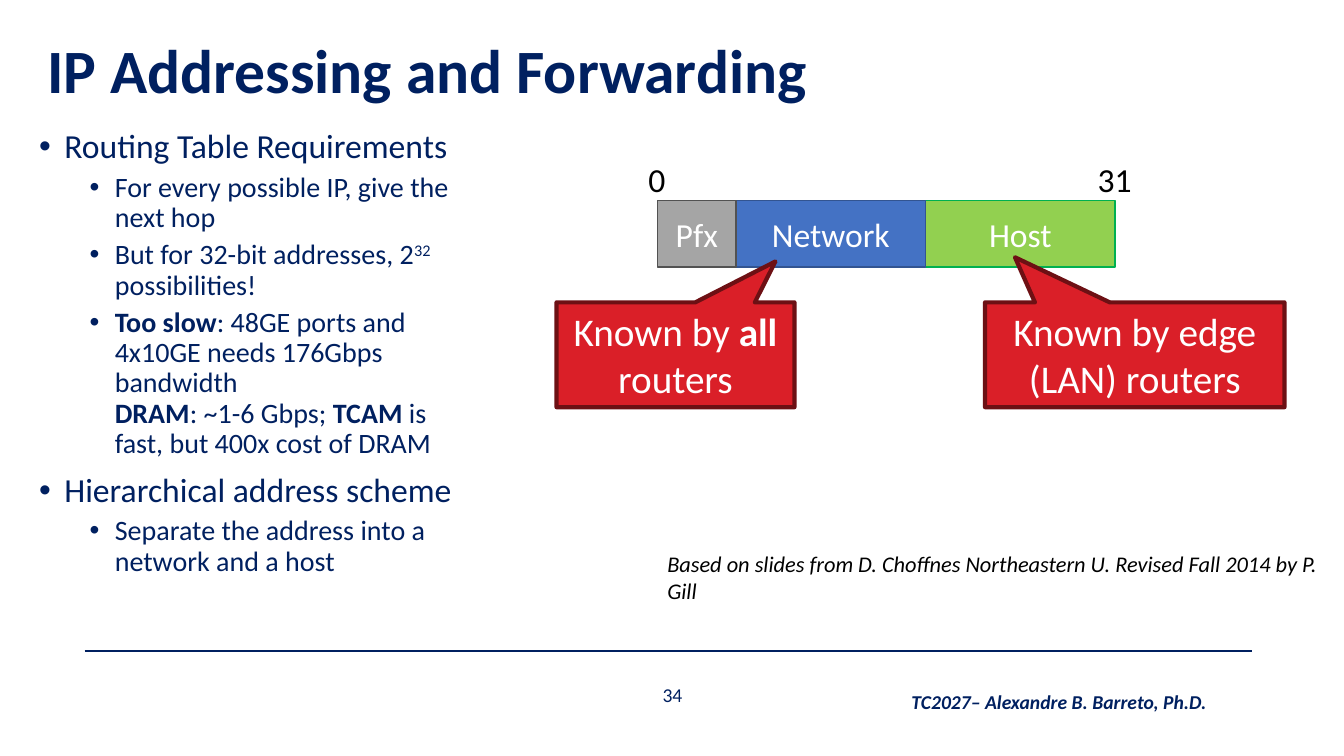
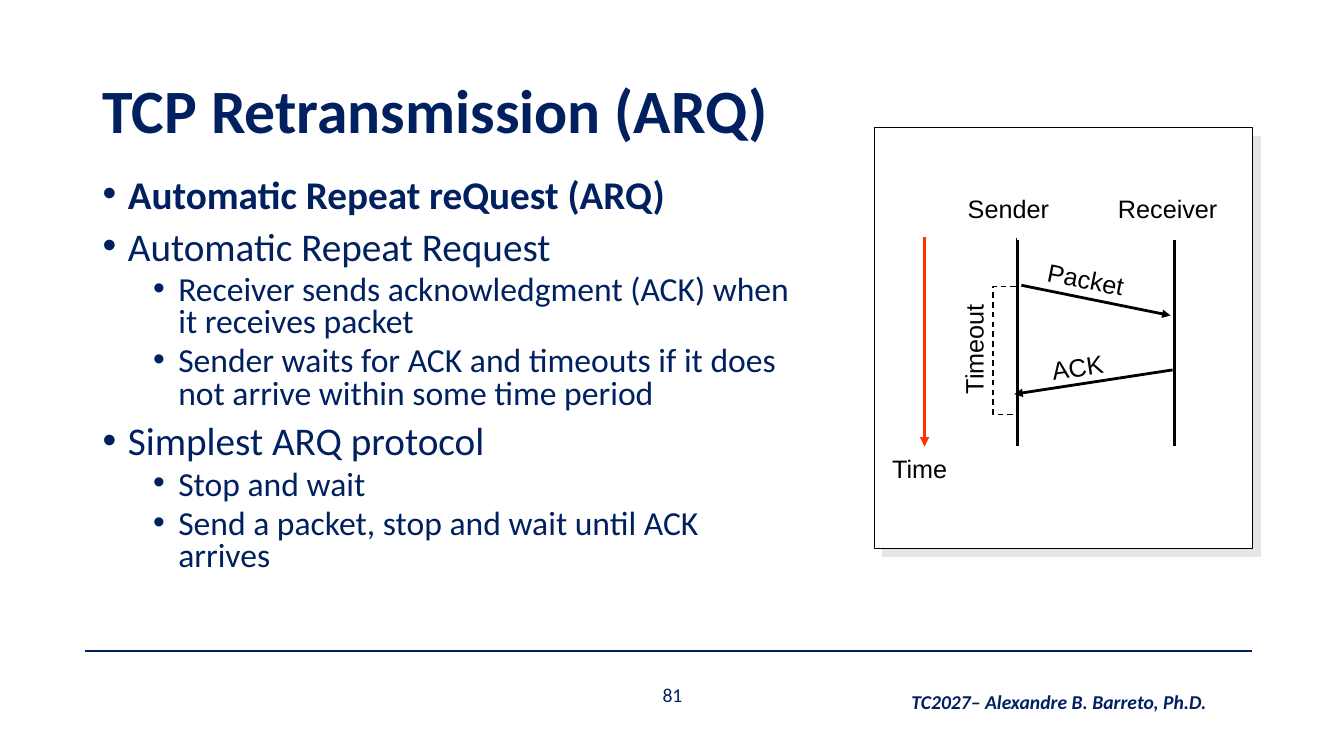
from dataclasses import dataclass

from lxml.etree import SubElement as Sub
from pptx import Presentation
from pptx.dml.color import RGBColor as RGB
from pptx.enum.dml import MSO_LINE as Dash
from pptx.enum.shapes import MSO_CONNECTOR as Conn, MSO_SHAPE as Kind
from pptx.enum.text import MSO_ANCHOR as Anchor, PP_ALIGN as Align
from pptx.oxml.ns import qn
from pptx.util import Pt


@dataclass(frozen=True)
class Theme:
    navy: str = "002060"
    black: str = "000000"
    white: str = "FFFFFF"
    red: str = "DA1F28"
    maroon: str = "6D1014"
    flame: str = "FF3300"
    shade: str = "E7E6E6"
    host: tuple = ("92D050", "00B050")
    net: tuple = ("4472C4", "325491")
    pfx: tuple = ("A5A5A5", "525252")
    sans: str = "Calibri"
    plain: str = "Arial"
    title: int = 44
    large: int = 28
    mid: int = 24
    small: int = 20
    label: int = 18
    note: int = 16
    foot: int = 14


PX = 9144
T = Theme()


def write(shape, text, size=T.mid, color=T.navy, font=T.sans, bold=False,
          italic=False, align=Align.LEFT, anchor=Anchor.TOP, space=1.0, sub=None):
    frame = shape.text_frame
    frame.word_wrap = True
    frame.vertical_anchor = anchor
    items = [(0, text)] if isinstance(text, str) else text
    for n, (level, words) in enumerate(items):
        para = frame.paragraphs[0] if n == 0 else frame.add_paragraph()
        para.alignment = align
        para.line_spacing = space
        if sub:
            para.level = level
            para.space_before = Pt((10, 5)[level] if n else 0)
            props = para._p.get_or_add_pPr()
            props.set("marL", str((25 + 50 * level) * PX))
            props.set("indent", str(-25 * PX))
            Sub(props, qn("a:buFont")).set("typeface", T.plain)
            Sub(props, qn("a:buChar")).set("char", "•")
        for i, part in enumerate(words.split("*")):
            for j, bit in enumerate(part.split("^")):
                for k, piece in enumerate(bit.split("\n")):
                    if k:
                        para.add_line_break()
                    if not piece:
                        continue
                    run = para.add_run()
                    run.text = piece
                    face = run.font
                    face.name = font
                    face.size = Pt(sub if level else size)
                    face.bold = bold or i % 2 == 1
                    face.italic = italic
                    face.color.rgb = RGB.from_string(color)
                    if j % 2:
                        run._r.get_or_add_rPr().set("baseline", "30000")


def rule(slide, ends, color=T.black, width=2, arrow=False):
    line = slide.shapes.add_connector(Conn.STRAIGHT, *(v * PX for v in ends))
    line.line.color.rgb = RGB.from_string(color)
    line.line.width = Pt(width)
    if arrow:
        Sub(line.line._get_or_add_ln(), qn("a:tailEnd")).set("type", "triangle")
    Sub(line._element.spPr, qn("a:effectLst"))


deck = Presentation()
deck.slide_width = 1333 * PX
deck.slide_height = 750 * PX

route = [
    (0, "Routing Table Requirements"),
    (1, "For every possible IP, give the next hop"),
    (1, "But for 32-bit addresses, 2^32^ possibilities!"),
    (1, "*Too slow*: 48GE ports and 4x10GE needs 176Gbps bandwidth\n"
        "*DRAM*: ~1-6 Gbps; *TCAM* is fast, but 400x cost of DRAM"),
    (0, "Hierarchical address scheme"),
    (1, "Separate the address into a network and a host"),
]
arq = [
    (0, "*Automatic Repeat reQuest (ARQ)*"),
    (0, "Automatic Repeat Request"),
    (1, "Receiver sends acknowledgment (ACK) when it receives packet"),
    (1, "Sender waits for ACK and timeouts if it does not arrive within some time period"),
    (0, "Simplest ARQ protocol"),
    (1, "Stop and wait"),
    (1, "Send a packet, stop and wait until ACK arrives"),
]
pages = [
    ("34", "IP Addressing and Forwarding", (37, 0), route, (29, 124, 451, 497),
     dict(size=T.mid, sub=T.small, space=0.9)),
    ("81", "TCP Retransmission (ARQ)", (92, 40), arq, (92, 173, 709, 423),
     dict(size=T.large, sub=T.mid, space=0.8)),
]
slides = []
for num, title, spot, body, area, style in pages:
    slide = deck.slides.add_slide(deck.slide_layouts[6])
    slides.append(slide)
    rule(slide, (84, 646, 1242, 646), T.navy, 1.5)
    for text, box, form in [
        (num, (581, 679, 172, 20),
         dict(size=T.foot, align=Align.CENTER, anchor=Anchor.MIDDLE)),
        ("TC2027– Alexandre B. Barreto, Ph.D.", (867, 680, 367, 34),
         dict(size=T.foot, bold=True, italic=True, align=Align.CENTER)),
        (title, (*spot, 1150, 145),
         dict(size=T.title, bold=True, space=0.9, anchor=Anchor.MIDDLE)),
        (body, area, style),
    ]:
        write(slide.shapes.add_textbox(*(v * PX for v in box)), text, **form)

addr, flow = slides
center = dict(color=T.white, align=Align.CENTER, anchor=Anchor.MIDDLE)
edge = 1106
for name, width, (fill, line) in [
    ("Host", 188, T.host), ("Network", 188, T.net), ("Pfx", 78, T.pfx),
]:
    edge -= width
    field = addr.shapes.add_shape(Kind.RECTANGLE, edge * PX, 199 * PX, width * PX, 66 * PX)
    field.shadow.inherit = False
    field.fill.solid()
    field.fill.fore_color.rgb = RGB.from_string(fill)
    field.line.color.rgb = RGB.from_string(line)
    field.line.width = Pt(1)
    write(field, name, **center)

for bit, left in [("0", 619), ("31", 1073)]:
    box = addr.shapes.add_textbox(left * PX, 145 * PX, 65 * PX, 66 * PX)
    write(box, bit, color=T.black, align=Align.CENTER, anchor=Anchor.MIDDLE)

for text, left, width, tip in [
    ("Known by *all* routers", 552, 236, (0.42, -0.89)),
    ("Known by edge (LAN) routers", 977, 297, (-0.4, -0.93)),
]:
    call = addr.shapes.add_shape(
        Kind.RECTANGULAR_CALLOUT, left * PX, 300 * PX, width * PX, 104 * PX)
    call.shadow.inherit = False
    call.adjustments[0], call.adjustments[1] = tip
    call.fill.solid()
    call.fill.fore_color.rgb = RGB.from_string(T.red)
    call.line.color.rgb = RGB.from_string(T.maroon)
    call.line.width = Pt(3)
    write(call, text, size=T.large, **center)

credit = addr.shapes.add_textbox(652 * PX, 541 * PX, 667 * PX, 64 * PX)
write(credit, "Based on slides from D. Choffnes Northeastern U. Revised Fall 2014 by P. Gill",
      size=T.note, color=T.black, italic=True)

panel = flow.shapes.add_shape(Kind.RECTANGLE, 867 * PX, 127 * PX, 375 * PX, 417 * PX)
panel.fill.solid()
panel.fill.fore_color.rgb = RGB.from_string(T.white)
panel.line.color.rgb = RGB.from_string(T.black)
panel.line.width = Pt(0.75)
cast = Sub(Sub(panel._element.spPr, qn("a:effectLst")), qn("a:outerShdw"),
           blurRad="0", dist=str(Pt(8.5)), dir="2700000", algn="tl", rotWithShape="0")
Sub(cast, qn("a:srgbClr")).set("val", T.shade)

for ends, color, width, arrow in [
    ((1165, 238, 1165, 442), T.black, 2, False),
    ((1009, 238, 1009, 442), T.black, 2, False),
    ((1013, 283, 1161, 313), T.black, 2, True),
    ((1163, 367, 1006, 391), T.black, 2, True),
    ((917, 235, 917, 443), T.flame, 2.25, True),
]:
    rule(flow, ends, color, width, arrow)

pen = flow.shapes.build_freeform(1008, 236, scale=PX)
pen.add_line_segments(
    [(1008, 284), (985, 284), (985, 411), (1009, 411), (1009, 443)], close=False)
span = pen.convert_to_shape()
span.shadow.inherit = False
span.fill.background()
span.line.color.rgb = RGB.from_string(T.black)
span.line.width = Pt(1)
span.line.dash_style = Dash.DASH

for text, left, top, width, turn in [
    ("Time", 875, 443, 82, 0),
    ("Packet", 1029, 256, 105, 11.5),
    ("ACK", 1033, 342, 77, 351.2),
    ("Timeout", 899, 313, 133, 270),
    ("Sender", 950, 185, 110, 0),
    ("Receiver", 1099, 185, 130, 0),
]:
    tag = flow.shapes.add_textbox(left * PX, top * PX, width * PX, 43 * PX)
    tag.rotation = turn
    write(tag, text, size=T.label, color=T.black, font=T.plain, anchor=Anchor.MIDDLE)

deck.save("out.pptx")
